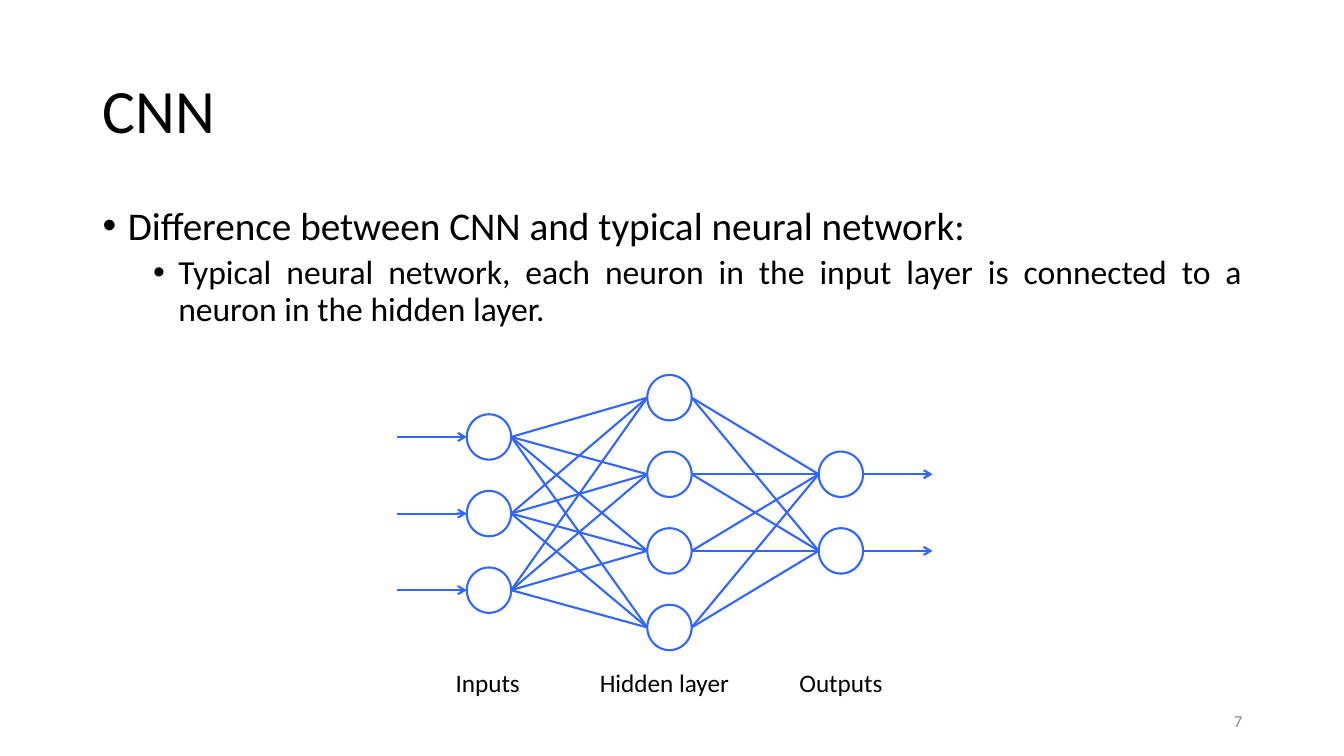
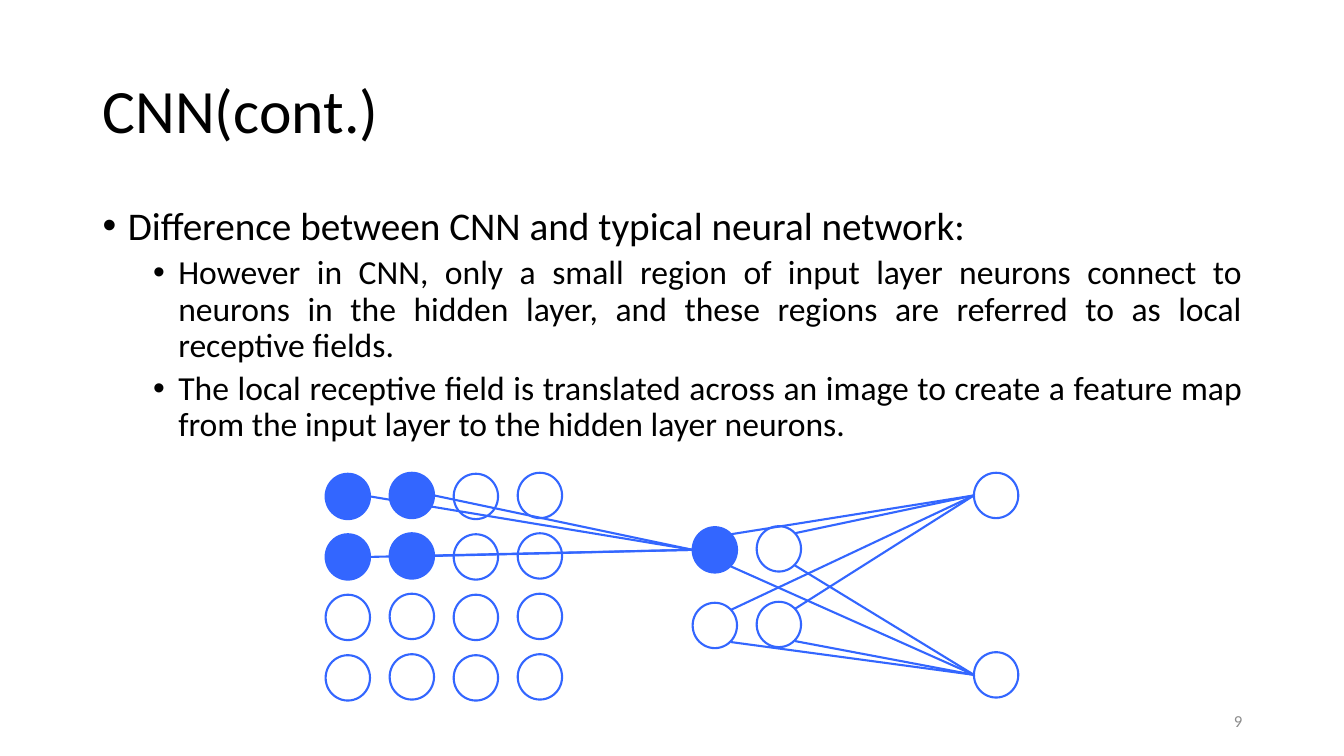
from itertools import product

from lxml import etree
from pptx import Presentation
from pptx.dml.color import RGBColor
from pptx.enum.shapes import MSO_CONNECTOR, MSO_SHAPE
from pptx.enum.text import MSO_ANCHOR, PP_ALIGN
from pptx.oxml.ns import qn
from pptx.util import Inches, Pt

STRAIGHT = MSO_CONNECTOR.STRAIGHT
OVAL = MSO_SHAPE.OVAL
TOP, MIDDLE = MSO_ANCHOR.TOP, MSO_ANCHOR.MIDDLE
LEFT, RIGHT, JUSTIFY = PP_ALIGN.LEFT, PP_ALIGN.RIGHT, PP_ALIGN.JUSTIFY

# Theme: colours, type sizes and paragraph styles
BLACK = RGBColor.from_string("000000")
THEME = {
    "font": "Calibri",
    "blue": RGBColor.from_string("3366FF"),
    "line": Pt(1.5),
    "styles": {
        "title": {"size": 44, "color": BLACK, "format": {"line_spacing": 0.9}},
        "point": {"size": 28, "color": BLACK, "margin": 0.25, "format": {
            "alignment": JUSTIFY, "line_spacing": 0.9, "space_before": Pt(10)}},
        "subpoint": {"size": 24, "color": BLACK, "margin": 0.75, "format": {
            "alignment": JUSTIFY, "line_spacing": 0.9, "space_before": Pt(5), "level": 1}},
        "number": {"size": 12, "color": RGBColor.from_string("8C8C8C"),
                   "format": {"alignment": RIGHT}},
        "caption": {"size": 18, "color": BLACK, "format": {"alignment": LEFT}},
    },
}
BULLET_INDENT = 0.25
WIDTH, HEIGHT = 0.44, 0.45  # one neuron


def add_neuron(page, left, top, filled=False):
    neuron = page.shapes.add_shape(
        OVAL, Inches(left), Inches(top), Inches(WIDTH), Inches(HEIGHT))
    neuron.shadow.inherit = False
    neuron.line.color.rgb = THEME["blue"]
    neuron.line.width = THEME["line"]
    if filled:
        neuron.fill.solid()
        neuron.fill.fore_color.rgb = THEME["blue"]
    else:
        neuron.fill.background()


def add_link(page, start, end, arrow=False):
    link = page.shapes.add_connector(
        STRAIGHT, *(Inches(value) for value in (*start, *end)))
    link.line.color.rgb = THEME["blue"]
    link.line.width = THEME["line"]
    if arrow:
        etree.SubElement(link.line._get_or_add_ln(), qn("a:tailEnd"), type="arrow")
    etree.SubElement(link._element.spPr, qn("a:effectLst"))


# Wording of the slides
HEADING = ("point", "Difference between CNN and typical neural network:")
PAGES = [
    {"title": "CNN", "number": "7",
     "body": [
         HEADING,
         ("subpoint", "Typical neural network, each neuron in the input layer is "
                      "connected to a neuron in the hidden layer."),
     ],
     "captions": [("Inputs", 4.42, 0.85), ("Hidden layer", 5.85, 1.51),
                  ("Outputs", 7.83, 1.03)]},
    {"title": "CNN(cont.)", "number": "9",
     "body": [
         HEADING,
         ("subpoint", "However in CNN, only a small region of input layer neurons "
                      "connect to neurons in the hidden layer, and these regions are "
                      "referred to as local receptive fields."),
         ("subpoint", "The local receptive field is translated across an image to "
                      "create a feature map from the input layer to the hidden layer "
                      "neurons."),
     ],
     "captions": []},
]

deck = Presentation()
deck.slide_width, deck.slide_height = Inches(13.33), Inches(7.5)

# Text of every slide: title, body, page number, captions
for content in PAGES:
    page = deck.slides.add_slide(deck.slide_layouts[6])
    boxes = [
        ((0.92, 0.4, 11.5, 1.45), MIDDLE, True, [("title", content["title"])]),
        ((0.92, 2, 11.5, 4.76), TOP, True, content["body"]),
        ((9.42, 6.95, 3, 0.4), MIDDLE, True, [("number", content["number"])]),
    ]
    for caption, left, width in content["captions"]:
        boxes.append(((left, 6.57, width, 0.4), TOP, False, [("caption", caption)]))

    for place, anchor, wrap, lines in boxes:
        box = page.shapes.add_textbox(*(Inches(value) for value in place))
        frame = box.text_frame
        frame.word_wrap = wrap
        frame.vertical_anchor = anchor
        for index, (style_name, text) in enumerate(lines):
            style = THEME["styles"][style_name]
            para = frame.add_paragraph() if index else frame.paragraphs[0]
            for name, value in style["format"].items():
                setattr(para, name, value)
            if "margin" in style:
                properties = para._p.get_or_add_pPr()
                properties.set("marL", str(Inches(style["margin"])))
                properties.set("indent", str(-Inches(BULLET_INDENT)))
                etree.SubElement(properties, qn("a:buFont"), typeface="Arial")
                etree.SubElement(properties, qn("a:buChar"), char="•")
            span = para.add_run()
            span.text = text
            span.font.name = THEME["font"]
            span.font.size = Pt(style["size"])
            span.font.color.rgb = style["color"]

dense_page, local_page = deck.slides

# Fully connected network: layers as (left, first top, neuron count)
LAYER_STEP = 0.76
ARROW_LENGTH = 0.69
layers = []
for left, first_top, count in [(4.63, 4.11, 3), (6.42, 3.72, 4), (8.12, 4.48, 2)]:
    tops = [first_top + LAYER_STEP * row for row in range(count)]
    for top in tops:
        add_neuron(dense_page, left, top)
    layers.append([(left, top + HEIGHT / 2) for top in tops])

for x, y in layers[0]:
    add_link(dense_page, (x - ARROW_LENGTH, y), (x, y), arrow=True)
for x, y in layers[-1]:
    add_link(dense_page, (x + WIDTH, y), (x + WIDTH + ARROW_LENGTH, y), arrow=True)
for layer, next_layer in zip(layers, layers[1:]):
    for (x, y), target in product(layer, next_layer):
        add_link(dense_page, (x + WIDTH, y), target)

# Local receptive field: 4 x 4 inputs, 2 x 2 hidden neurons, 2 outputs
COLUMN_STEP = 0.635
FIELD = 2
field_ends = []
for column, row in product(range(4), range(4)):
    left = 3.23 + COLUMN_STEP * column
    top = 4.7 - 0.01 * (column % 2) + 0.6 * row
    in_field = column < FIELD and row < FIELD
    add_neuron(local_page, left, top, in_field)
    if in_field:
        field_ends.append((left + WIDTH, top + HEIGHT / 2))

output_left, output_tops = 9.66, (4.69, 6.47)
for top in output_tops:
    add_neuron(local_page, output_left, top)

# Links leave each hidden neuron at its upper right and lower right
for column, row in product(range(2), range(2)):
    left = 6.87 + COLUMN_STEP * column
    top = 5.23 - 0.01 * column + 0.75 * row
    for output_top, drop in zip(output_tops, (0.07, 0.39)):
        add_link(local_page, (left + 0.38, top + drop),
                 (output_left, output_top + HEIGHT / 2))
    add_neuron(local_page, left, top, filled=column == row == 0)

for field_end in field_ends:
    add_link(local_page, field_end, (6.87, 5.23 + HEIGHT / 2))

deck.save("out.pptx")
